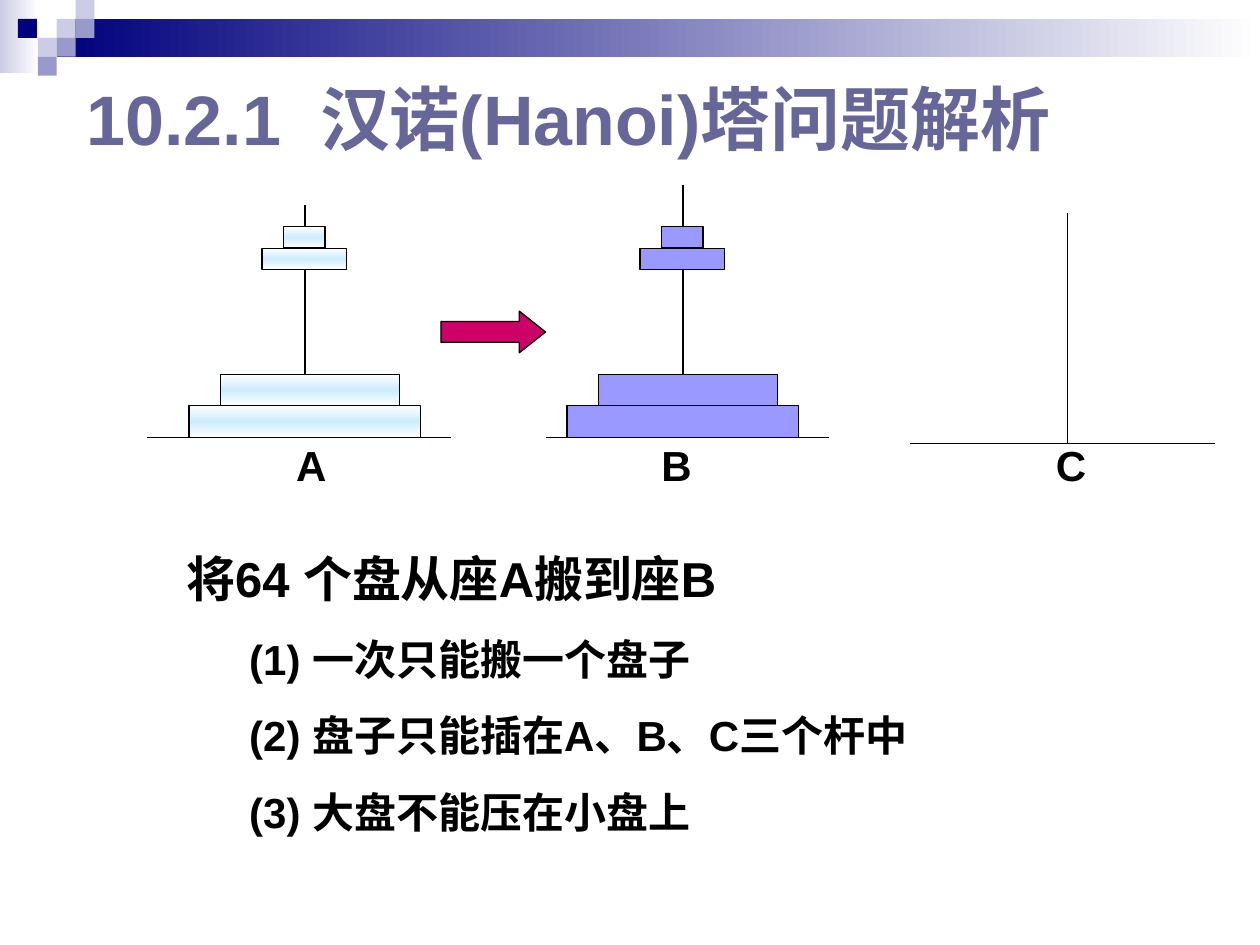
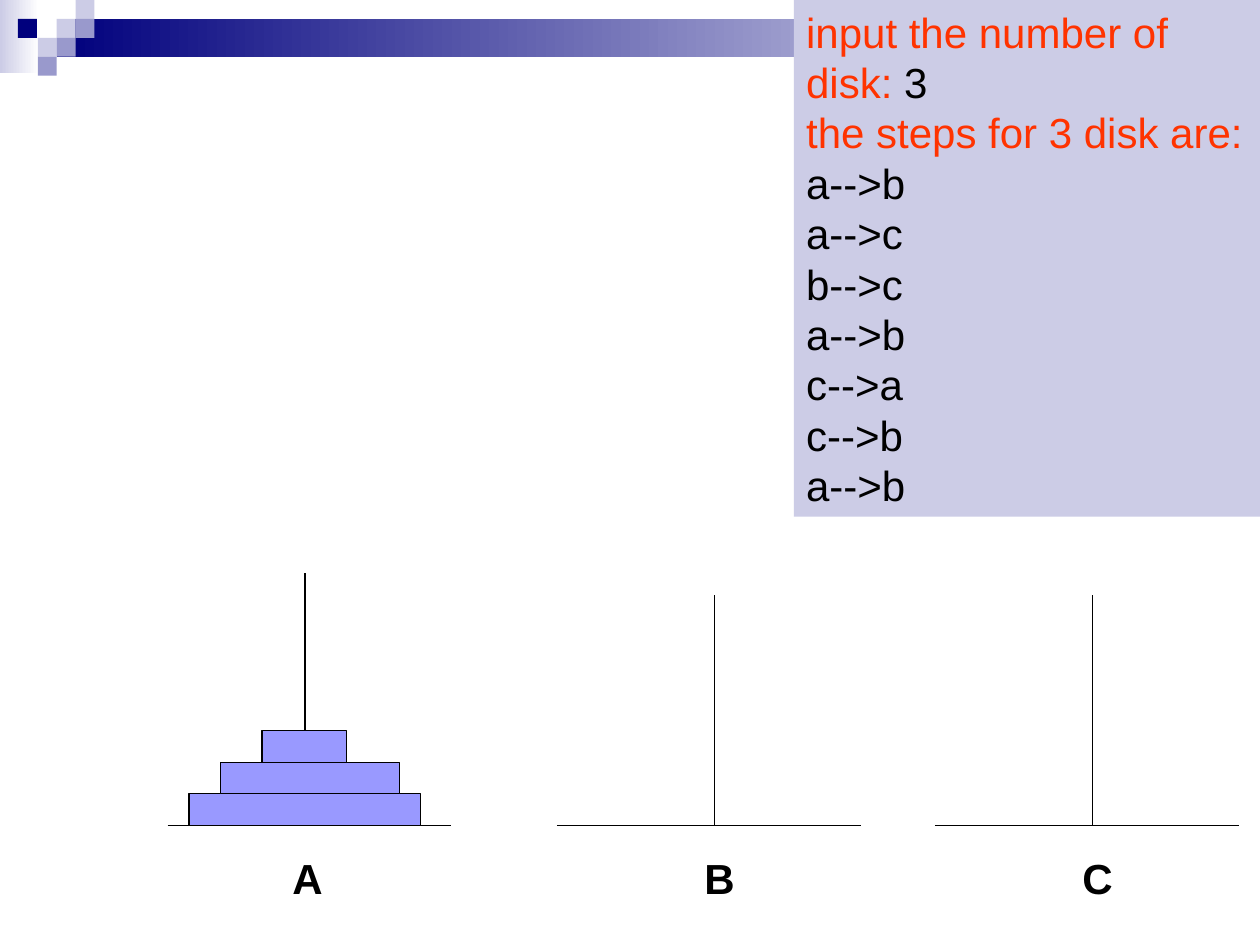
from dataclasses import dataclass

from lxml import etree
from pptx import Presentation
from pptx.dml.color import RGBColor
from pptx.enum import shapes, text
from pptx.oxml import ns
from pptx.util import Inches, Pt


@dataclass(frozen=True)
class Theme:
    font: str = "Arial"
    navy: str = "00007D"
    lavender: str = "CCCCE6"
    periwinkle: str = "9999CC"
    title: str = "666699"
    disc: str = "9999FF"
    ice: str = "CCECFF"
    arrow: str = "CC0066"
    prompt: str = "FF3300"
    black: str = "000000"
    white: str = "FFFFFF"
    title_size: int = 40
    lead_size: int = 28
    text_size: int = 24
    line_width: float = 0.75


THEME = Theme()
RECTANGLE = shapes.MSO_SHAPE.RECTANGLE
ICE_GRADIENT = ([THEME.white, THEME.ice, THEME.white], 90)

# Discs from the bottom up: offset from rod to left edge, width, height
WIDE_DISCS = [(-0.92, 1.84, 0.25), (-0.67, 1.42, 0.25)]
SMALL_DISCS = [(-0.34, 0.67, 0.17), (-0.17, 0.33, 0.17)]
TOP_DISC = (-0.34, 0.67, 0.25)


def apply_gradient(shape, colours, angle):
    """Spread the colours evenly along a linear gradient."""
    shape.fill.gradient()
    gradient = shape._element.spPr.find(ns.qn("a:gradFill"))
    stops = gradient.find(ns.qn("a:gsLst"))
    for stop in list(stops):
        stops.remove(stop)
    for index, colour in enumerate(colours):
        position = str(100000 * index // (len(colours) - 1))
        stop = etree.SubElement(stops, ns.qn("a:gs"), pos=position)
        etree.SubElement(stop, ns.qn("a:srgbClr"), val=colour)
    gradient.find(ns.qn("a:lin")).set("ang", str(angle * 60000))


def add_box(slide, left, top, width, height, fill, outlined=False, kind=RECTANGLE):
    """Add a preset shape; fill is a colour or a (colours, angle) gradient."""
    shape = slide.shapes.add_shape(
        kind, Inches(left), Inches(top), Inches(width), Inches(height))
    shape.shadow.inherit = False
    if isinstance(fill, str):
        shape.fill.solid()
        shape.fill.fore_color.rgb = RGBColor.from_string(fill)
    else:
        apply_gradient(shape, *fill)
    if outlined:
        shape.line.color.rgb = RGBColor.from_string(THEME.black)
        shape.line.width = Pt(THEME.line_width)
    else:
        shape.line.fill.background()
    return shape


def add_line(slide, x1, y1, x2, y2):
    line = slide.shapes.add_connector(
        shapes.MSO_CONNECTOR.STRAIGHT, Inches(x1), Inches(y1), Inches(x2), Inches(y2))
    line.line.color.rgb = RGBColor.from_string(THEME.black)
    line.line.width = Pt(THEME.line_width)
    etree.SubElement(line._element.spPr, ns.qn("a:effectLst"))
    return line


def add_text_box(slide, left, top, width, height):
    box = slide.shapes.add_textbox(
        Inches(left), Inches(top), Inches(width), Inches(height))
    box.text_frame.word_wrap = True
    return box.text_frame


def write(frame, *runs, size=THEME.text_size, colour=THEME.black, bold=False,
          align=text.PP_ALIGN.LEFT, before=0, margin=0, indent=0):
    """Write one paragraph; a run is a string or a (string, colour) pair."""
    paragraph = frame.paragraphs[0]
    if paragraph.runs:
        paragraph = frame.add_paragraph()
    paragraph.alignment = align
    paragraph.space_before = Pt(before)
    properties = paragraph._p.get_or_add_pPr()
    properties.set("marL", str(Inches(margin)))
    properties.set("indent", str(Inches(indent)))
    for item in runs:
        words, run_colour = (item, colour) if isinstance(item, str) else item
        run = paragraph.add_run()
        run.text = words
        run.font.name = THEME.font
        run.font.size = Pt(size)
        run.font.bold = bold
        run.font.color.rgb = RGBColor.from_string(run_colour)


def add_header(slide):
    """Gradient band with its mosaic of small squares."""
    add_box(slide, 0, 0, 0.31, 0.58, ([THEME.lavender, THEME.white], 0))
    add_box(slide, 0.45, 0.15, 9.55, 0.3, ([THEME.navy, THEME.white], 0))
    cell = 0.15
    mosaic = [(3, 1, THEME.lavender), (4, 0, THEME.lavender),
              (4, 1, THEME.periwinkle), (2, 2, THEME.lavender),
              (0.95, 1, THEME.navy), (3, 2, THEME.periwinkle),
              (2, 3, THEME.periwinkle)]
    for column, row, colour in mosaic:
        add_box(slide, column * cell, row * cell, cell, cell, colour)


def add_discs(slide, rod, bottom, discs, fill):
    """Stack discs upwards from bottom."""
    stack = []
    for offset, width, height in discs:
        bottom -= height
        stack.append(add_box(slide, rod + offset, bottom, width, height, fill, True))
    return stack


def add_peg(slide, box, rod, discs=(), raised=(), raised_bottom=0, fill=THEME.disc):
    """Base line and rod in the box, a stack on the base and one higher up."""
    left, top, width, height = box
    base = top + height
    add_line(slide, left, base, left + width, base)
    pole = add_line(slide, left + rod, base, left + rod, top)
    stack = add_discs(slide, left + rod, base, discs, fill)
    if stack:
        pole.begin_connect(stack[0], 2)
    add_discs(slide, left + rod, top + raised_bottom, raised, fill)


def add_peg_labels(slide, top, centres):
    width = 0.6
    for letter, centre in zip("ABC", centres):
        frame = add_text_box(slide, centre - width / 2, top, width, 0.5)
        write(frame, letter, bold=True, align=text.PP_ALIGN.CENTER, before=15)


def add_title(slide, words):
    frame = add_text_box(slide, 0.59, 0.52, 8.5, 0.83)
    frame.vertical_anchor = text.MSO_ANCHOR.MIDDLE
    write(frame, words, size=THEME.title_size, colour=THEME.title, bold=True)


def add_rules(slide, box, lead, rules):
    """Task statement with its indented rules."""
    frame = add_text_box(slide, *box)
    write(frame, lead, size=THEME.lead_size, bold=True, before=17.5,
          margin=0.38, indent=-0.38)
    for number, rule in enumerate(rules, 1):
        write(frame, f"({number}) {rule}", bold=True, before=15,
              margin=0.81, indent=-0.31)


def add_output_panel(slide, box, moves):
    """Program output: prompts in red, input and moves in black."""
    frame = add_box(slide, *box, THEME.lavender).text_frame
    frame.word_wrap = True
    frame.vertical_anchor = text.MSO_ANCHOR.TOP
    write(frame, ("input the number of disk: ", THEME.prompt), "3")
    write(frame, "the steps for 3 disk are:", colour=THEME.prompt)
    for source, target in moves:
        write(frame, f"{source}-->{target}")


def build_problem_slide(slide):
    add_header(slide)
    add_title(slide, "10.2.1  汉诺(Hanoi)塔问题解析")
    add_rules(slide, (1.38, 4.3, 6.5, 2.58), "将64 个盘从座A搬到座B", [
        "一次只能搬一个盘子",
        "盘子只能插在A、B、C三个杆中",
        "大盘不能压在小盘上",
    ])
    add_peg(slide, (1.17, 1.63, 2.41, 1.84), 1.25, WIDE_DISCS, SMALL_DISCS, 0.51,
            ICE_GRADIENT)
    add_peg(slide, (4.33, 1.47, 2.25, 2), 1.09, WIDE_DISCS, SMALL_DISCS, 0.67)
    add_peg(slide, (7.22, 1.69, 2.42, 1.83), 1.25)
    add_peg_labels(slide, 3.44, [2.47, 5.37, 8.5])
    arrow = add_box(slide, 3.5, 2.47, 0.83, 0.33, THEME.arrow, True,
                    shapes.MSO_SHAPE.RIGHT_ARROW)
    arrow.adjustments[1] = 0.63


def build_steps_slide(slide):
    add_header(slide)
    add_peg(slide, (1.33, 4.55, 2.25, 2), 1.09, WIDE_DISCS + [TOP_DISC])
    for left in (4.42, 7.42):
        add_peg(slide, (left, 4.72, 2.41, 1.83), 1.25)
    add_peg_labels(slide, 6.72, [2.44, 5.71, 8.71])
    add_output_panel(slide, (6.3, 0, 3.7, 4.1),
                     ["ab", "ac", "bc", "ab", "ca", "cb", "ab"])


def main():
    presentation = Presentation()
    presentation.slide_width = Inches(10)
    presentation.slide_height = Inches(7.5)
    blank = presentation.slide_layouts[6]
    for build in (build_problem_slide, build_steps_slide):
        build(presentation.slides.add_slide(blank))
    presentation.save("out.pptx")


if __name__ == "__main__":
    main()
